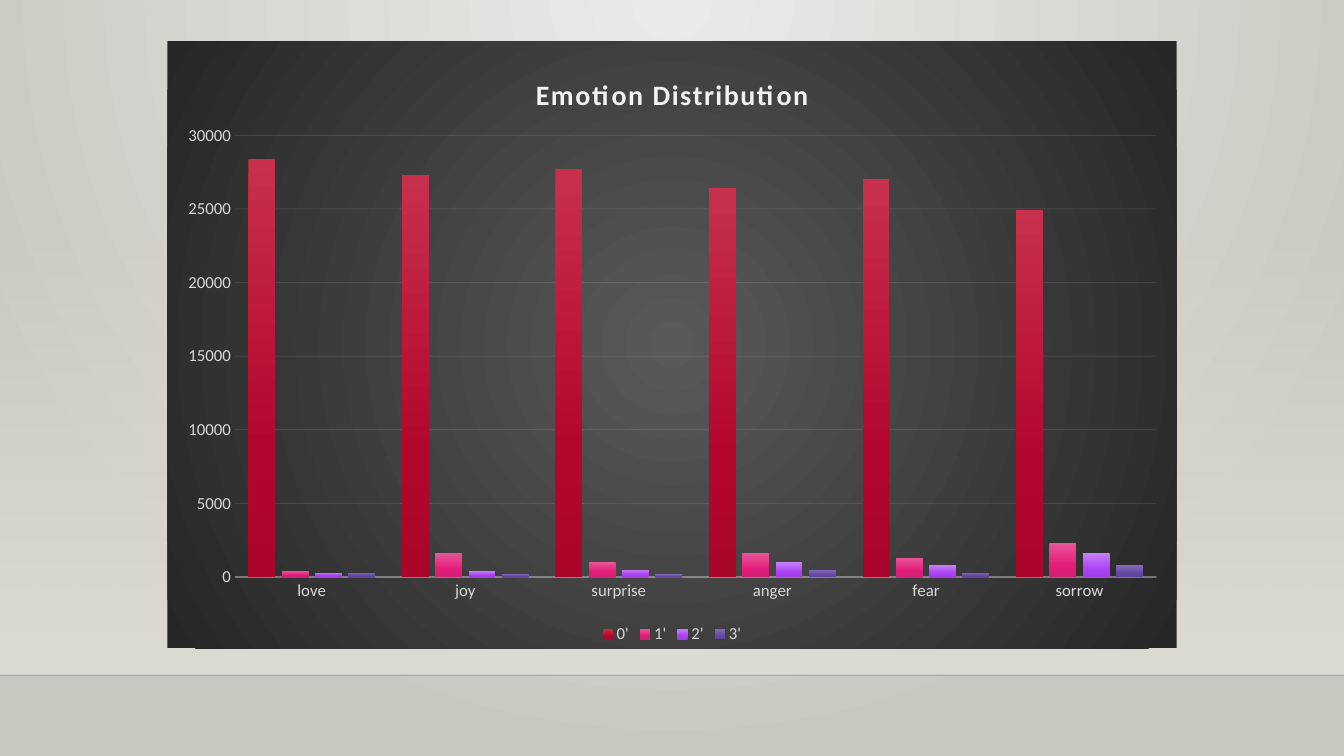
from lxml import etree
from pptx import Presentation
from pptx.chart.data import CategoryChartData
from pptx.dml.color import RGBColor
from pptx.enum.chart import XL_CHART_TYPE, XL_LEGEND_POSITION, XL_TICK_MARK
from pptx.enum.shapes import MSO_CONNECTOR, MSO_SHAPE
from pptx.oxml import parse_xml
from pptx.util import Inches, Pt

COLUMNS = XL_CHART_TYPE.COLUMN_CLUSTERED
BOTTOM = XL_LEGEND_POSITION.BOTTOM
NO_TICK = XL_TICK_MARK.NONE
STRAIGHT = MSO_CONNECTOR.STRAIGHT
RECTANGLE = MSO_SHAPE.RECTANGLE

A = "http://schemas.openxmlformats.org/drawingml/2006/main"
C = "http://schemas.openxmlformats.org/drawingml/2006/chart"
NS = {"a": A, "c": C}

WALL_LIGHT = RGBColor(0xEC, 0xEA, 0xE7)
WALL_DARK = RGBColor(0xCA, 0xC7, 0xC1)
HAZE = RGBColor(0xDF, 0xDB, 0xD5)
EDGE = RGBColor(0x00, 0x00, 0x01)
PANEL_LIGHT = RGBColor(0x59, 0x59, 0x59)
PANEL_DARK = RGBColor(0x26, 0x26, 0x26)
PALE = RGBColor(0xF2, 0xF2, 0xF2)
LABEL = RGBColor(0xD9, 0xD9, 0xD9)
REDS = (RGBColor(0xC7, 0x30, 0x4C), RGBColor(0xB3, 0x06, 0x2F), RGBColor(0xAA, 0x06, 0x2C))
PINKS = (RGBColor(0xE7, 0x55, 0x97), RGBColor(0xE5, 0x1A, 0x79), RGBColor(0xCF, 0x23, 0x74))
VIOLETS = (RGBColor(0xC5, 0x7F, 0xF7), RGBColor(0xAA, 0x41, 0xF3), RGBColor(0xA1, 0x3F, 0xE5))
PURPLES = (RGBColor(0x83, 0x6A, 0xB8), RGBColor(0x66, 0x48, 0xA3), RGBColor(0x60, 0x45, 0x9A))

WIDTH, HEIGHT = Inches(13.33), Inches(7.5)
FLOOR = 6.7 / 7.5
SERIES_STOPS = (0, 69, 100)
EMOTIONS = ("love", "joy", "surprise", "anger", "fear", "sorrow")
SERIES = (
    ("0'", (28400, 27300, 27700, 26400, 27000, 24900), REDS),
    ("1'", (400, 1600, 1000, 1600, 1300, 2300), PINKS),
    ("2'", (300, 400, 500, 1000, 800, 1600), VIOLETS),
    ("3'", (300, 200, 200, 500, 300, 800), PURPLES),
)


def assign(target, values):
    for name, value in values.items():
        setattr(target, name, value)


def set_opacity(color, percent):
    etree.SubElement(color, f"{{{A}}}alpha", val=str(percent * 1000))


def gradient(stops, focus=None):
    fill = etree.Element(f"{{{A}}}gradFill", rotWithShape="1")
    stop_list = etree.SubElement(fill, f"{{{A}}}gsLst")
    for position, color, opacity in stops:
        stop = etree.SubElement(stop_list, f"{{{A}}}gs", pos=str(position * 1000))
        set_opacity(etree.SubElement(stop, f"{{{A}}}srgbClr", val=str(color)), opacity)
    if focus:
        circle = etree.SubElement(fill, f"{{{A}}}path", path="circle")
        sides = {side: str(share * 1000) for side, share in zip("ltrb", focus)}
        etree.SubElement(circle, f"{{{A}}}fillToRect", **sides)
    else:
        etree.SubElement(fill, f"{{{A}}}lin", ang="5400000", scaled="0")
    return parse_xml(etree.tostring(fill))


def paint(owner, fill, stops, focus=None):
    fill.solid()
    flat = owner.find(".//a:solidFill", NS)
    flat.getparent().replace(flat, gradient(stops, focus))


def stroke(line, color, width):
    line.color.rgb = color
    line.width = Pt(width)


def place(element, index, shares, inner=False):
    old = element.find("c:layout", NS)
    if old is not None:
        element.remove(old)
    layout = etree.Element(f"{{{C}}}layout")
    manual = etree.SubElement(layout, f"{{{C}}}manualLayout")
    settings = {"layoutTarget": "inner"} if inner else {}
    settings.update(xMode="edge", yMode="edge", **shares)
    for name, value in settings.items():
        etree.SubElement(manual, f"{{{C}}}{name}", val=str(value))
    element.insert(index, parse_xml(etree.tostring(layout)))


def add_backdrop(page, left, top, width, height):
    paint(page.element, page.background.fill,
          ((0, WALL_LIGHT, 100), (100, WALL_DARK, 100)), (43, 0, 43, 100))
    floor = top + int(height * FLOOR)
    haze_height = int(height * 0.6)
    haze = page.shapes.add_shape(RECTANGLE, left, floor - haze_height, width, haze_height)
    haze.shadow.inherit = False
    haze.line.fill.background()
    paint(haze.element, haze.fill, ((0, HAZE, 0), (100, HAZE, 100)))
    edge = page.shapes.add_connector(STRAIGHT, left, floor, left + width, floor)
    stroke(edge.line, EDGE, 1)
    set_opacity(edge.element.find(".//a:srgbClr", NS), 20)
    etree.SubElement(edge.element.spPr, f"{{{A}}}effectLst")


def format_title(chart):
    title = chart.chart_title
    title.include_in_layout = False
    para = title.text_frame.paragraphs[0]
    span = para.add_run()
    span.text = "Emotion Distribution"
    assign(span.font, {"name": "Calibri", "size": Pt(20), "bold": True})
    span.font.color.rgb = PALE
    chart.element.find(".//c:title//a:r/a:rPr", NS).set("spc", "100")
    place(chart.element.find(".//c:title", NS), 1, {"x": 0.36, "y": 0.047})


def format_axes(chart):
    category, value = chart.category_axis, chart.value_axis
    for axis in (category, value):
        assign(axis, {"major_tick_mark": NO_TICK, "minor_tick_mark": NO_TICK})
    assign(value, {"minimum_scale": 0, "maximum_scale": 30000, "major_unit": 5000,
                   "has_major_gridlines": True})
    stroke(category.format.line, PALE, 1)
    stroke(value.major_gridlines.format.line, PALE, 0.75)
    value.format.line.fill.background()
    for target, opacity in (("c:catAx/c:spPr", 54), ("c:majorGridlines", 10)):
        set_opacity(chart.element.find(f".//{target}//a:srgbClr", NS), opacity)


def add_emotion_chart(page, left, top, width, height):
    data = CategoryChartData()
    data.categories = EMOTIONS
    for name, values, shades in SERIES:
        data.add_series(name, values)
    chart = page.shapes.add_chart(COLUMNS, left, top, width, height, data).chart
    assign(chart.font, {"name": "Calibri", "size": Pt(12)})
    chart.font.color.rgb = LABEL
    panel = parse_xml(f'<c:spPr xmlns:c="{C}" xmlns:a="{A}"><a:ln><a:noFill/></a:ln></c:spPr>')
    panel.insert(0, gradient(((0, PANEL_LIGHT, 100), (100, PANEL_DARK, 100)), (50,) * 4))
    chart.element.find("c:chart", NS).addnext(panel)
    format_title(chart)
    format_axes(chart)
    chart.has_legend = True
    assign(chart.legend, {"position": BOTTOM, "include_in_layout": False})
    plot = chart.plots[0]
    assign(plot, {"gap_width": 100, "overlap": -24, "vary_by_categories": False})
    for series, (name, values, shades) in zip(plot.series, SERIES):
        series.invert_if_negative = False
        stops = [(stop, shade, 100) for stop, shade in zip(SERIES_STOPS, shades)]
        paint(series.format.element if hasattr(series.format, "element") else series._element,
              series.format.fill, stops)
    place(chart.element.find(".//c:plotArea", NS), 0,
          {"x": 0.067, "y": 0.155, "w": 0.913, "h": 0.728}, inner=True)


def main():
    deck = Presentation()
    assign(deck, {"slide_width": WIDTH, "slide_height": HEIGHT})
    page = deck.slides.add_slide(deck.slide_layouts[6])
    add_backdrop(page, 0, 0, WIDTH, HEIGHT)
    add_emotion_chart(page, Inches(1.66), Inches(0.41), Inches(10.01), Inches(6.02))
    deck.save("out.pptx")


if __name__ == "__main__":
    main()
